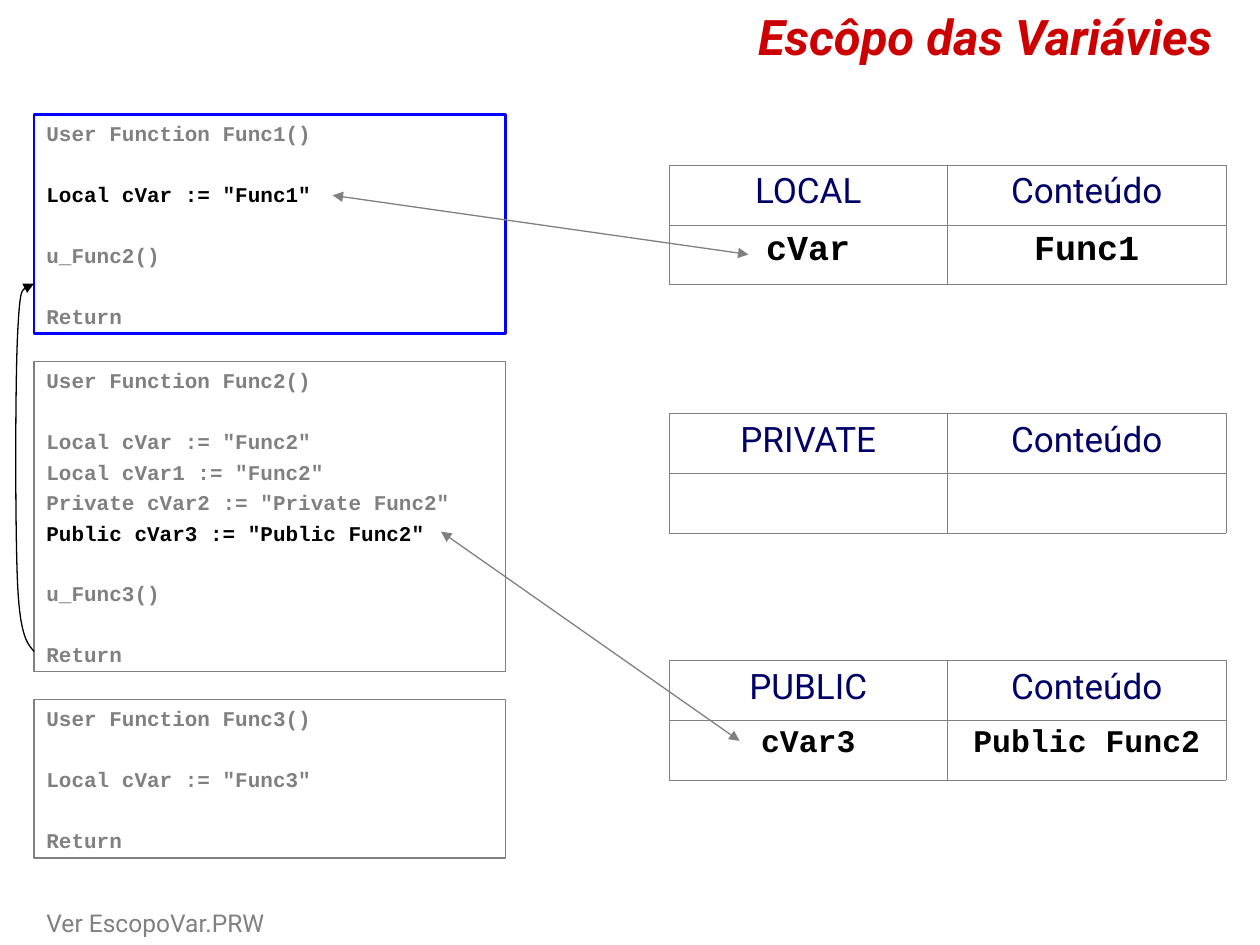
"""Build the slide on variable scope: code boxes, scope tables and arrows."""
from dataclasses import dataclass
from itertools import product

from pptx import Presentation
from pptx.dml.color import RGBColor as Rgb
from pptx.enum.shapes import MSO_CONNECTOR as Conn, MSO_SHAPE as Kind
from pptx.enum.text import MSO_ANCHOR as Anchor, MSO_AUTO_SIZE as Fit, PP_ALIGN as Align
from pptx.oxml import parse_xml
from pptx.oxml.ns import nsdecls, qn
from pptx.util import Inches, Pt

GREY, BLACK, BLUE, NAVY, RED = "808080", "000000", "0000FF", "000066", "CC0000"
SANS, MONO = "Roboto", "Courier New"
LEFT, WIDE = 0.27, 3.74
GAP, PITCH = 3, 17.4


@dataclass
class Code:
    top: float
    high: float
    lines: list[str]
    key: str = ""
    edge: str = GREY
    thick: float = 0.75


@dataclass
class Scope:
    top: float
    name: str
    row: tuple[str, str]
    size: float = 20


@dataclass
class Link:
    start: tuple[float, float]
    end: tuple[float, float]


CODES = [
    Code(0.91, 1.74, ["User Function Func1()", "", 'Local cVar := "Func1"', "",
                      "u_Func2()", "", "Return"], "Local", BLUE, 1.5),
    Code(2.87, 2.46, ["User Function Func2()", "", 'Local cVar := "Func2"',
                      'Local cVar1 := "Func2"', 'Private cVar2 := "Private Func2"',
                      'Public cVar3 := "Public Func2"', "", "u_Func3()", "",
                      "Return"], "Public"),
    Code(5.55, 1.26, ["User Function Func3()", "", 'Local cVar := "Func3"', "",
                      "Return"]),
]
SCOPES = [
    Scope(1.31, "LOCAL", ("cVar", "Func1")),
    Scope(3.28, "PRIVATE", ("", "")),
    Scope(5.24, "PUBLIC", ("cVar3", "Public Func2"), 18),
]
LINKS = [Link((2.64, 1.55), (5.94, 2.02)), Link((3.5, 4.22), (5.87, 5.88))]
BEND = [(0.27, 5.17), (0.22, 5.11), (0.16, 5.06), (0.14, 4.64), (0.12, 4.22),
        (0.12, 3.05), (0.14, 2.65), (0.16, 2.25), (0.22, 2.25), (0.27, 2.25)]


def tint(hue: str) -> Rgb:
    return Rgb.from_string(hue)


def add_run(para, text: str, size: float, face: str, hue: str,
            bold: bool = False, slant: bool = False) -> None:
    run = para.add_run()
    run.text = text
    font = run.font
    font.size, font.name = Pt(size), face
    font.bold, font.italic = bold, slant
    font.color.rgb = tint(hue)


def set_line(line, hue: str, thick: float, *ends: str) -> None:
    line.color.rgb = tint(hue)
    line.width = Pt(thick)
    for end in ends:
        line._get_or_add_ln().append(
            parse_xml(f'<a:{end} {nsdecls("a")} type="triangle"/>'))


def draw_title(slide) -> None:
    title = slide.shapes.title
    title.left, title.top = Inches(LEFT), Inches(0)
    title.width, title.height = Inches(9.45), Inches(0.57)
    frame = title.text_frame
    frame.auto_size, frame.vertical_anchor = Fit.NONE, Anchor.MIDDLE
    para = frame.paragraphs[0]
    para.alignment = Align.RIGHT
    add_run(para, "Escôpo das Variávies", 28, SANS, RED, True, True)


def draw_note(slide) -> None:
    box = slide.shapes.add_textbox(Inches(LEFT), Inches(7.16), Inches(5), Inches(0.34))
    box.text_frame.word_wrap = True
    add_run(box.text_frame.paragraphs[0], "Ver EscopoVar.PRW", 14, SANS, GREY)


def draw_code(slide, code: Code) -> None:
    box = slide.shapes.add_shape(Kind.RECTANGLE, Inches(LEFT), Inches(code.top),
                                 Inches(WIDE), Inches(code.high))
    box.shadow.inherit = False
    box.fill.background()
    set_line(box.line, code.edge, code.thick)
    frame = box.text_frame
    frame.word_wrap, frame.vertical_anchor = True, Anchor.TOP
    para, space = frame.paragraphs[0], 0
    for text in code.lines:
        if not text:
            space += PITCH
            continue
        if para.runs:
            para = frame.add_paragraph()
            para.space_before = Pt(space)
        para.alignment = Align.LEFT
        live = code.key and text.startswith(code.key)
        add_run(para, text, 12, MONO, BLACK if live else GREY, True)
        space = GAP


def set_cell(cell, text: str, size: float, face: str, hue: str, bold: bool) -> None:
    cell.fill.background()
    props = cell._tc.get_or_add_tcPr()
    for spot, side in enumerate(("lnL", "lnR", "lnT", "lnB")):
        props.insert(spot, parse_xml(
            f'<a:{side} {nsdecls("a")} w="{Pt(0.45)}"><a:solidFill>'
            f'<a:srgbClr val="{GREY}"/></a:solidFill></a:{side}>'))
    if text:
        para = cell.text_frame.paragraphs[0]
        para.alignment = Align.CENTER
        add_run(para, text, size, face, hue, bold)


def draw_scope(slide, scope: Scope) -> None:
    table = slide.shapes.add_table(2, 2, Inches(5.31), Inches(scope.top),
                                   Inches(4.42), Inches(0.95)).table
    table.first_row = table.horz_banding = False
    rows = ((scope.name, "Conteúdo"), scope.row)
    looks = ((20, SANS, NAVY, False), (scope.size, MONO, BLACK, True))
    for row, col in product(range(2), repeat=2):
        set_cell(table.cell(row, col), rows[row][col], *looks[row])


def draw_link(slide, link: Link) -> None:
    ends = [Inches(n) for n in link.start + link.end]
    line = slide.shapes.add_connector(Conn.STRAIGHT, *ends)
    set_line(line.line, GREY, 0.75, "headEnd", "tailEnd")
    line._element.spPr.append(parse_xml(f'<a:effectLst {nsdecls("a")}/>'))


def draw_bend(slide) -> None:
    first, *rest = [(Inches(x), Inches(y)) for x, y in BEND]
    pen = slide.shapes.build_freeform(*first)
    pen.add_line_segments(rest, close=False)
    bend = pen.convert_to_shape()
    bend.shadow.inherit = False
    bend.fill.background()
    set_line(bend.line, BLACK, 0.75, "tailEnd")
    steps = list(bend._element.iter(qn("a:lnTo")))
    for trio in zip(steps[::3], steps[1::3], steps[2::3]):
        curve = parse_xml(f'<a:cubicBezTo {nsdecls("a")}/>')
        trio[0].addprevious(curve)
        for step in trio:
            curve.append(step[0])
            step.getparent().remove(step)


def main() -> None:
    deck = Presentation()
    deck.slide_width, deck.slide_height = Inches(10), Inches(7.5)
    slide = deck.slides.add_slide(deck.slide_layouts[5])
    draw_title(slide)
    draw_note(slide)
    for code in CODES:
        draw_code(slide, code)
    for scope in SCOPES:
        draw_scope(slide, scope)
    for link in LINKS:
        draw_link(slide, link)
    draw_bend(slide)
    deck.save("out.pptx")


if __name__ == "__main__":
    main()
